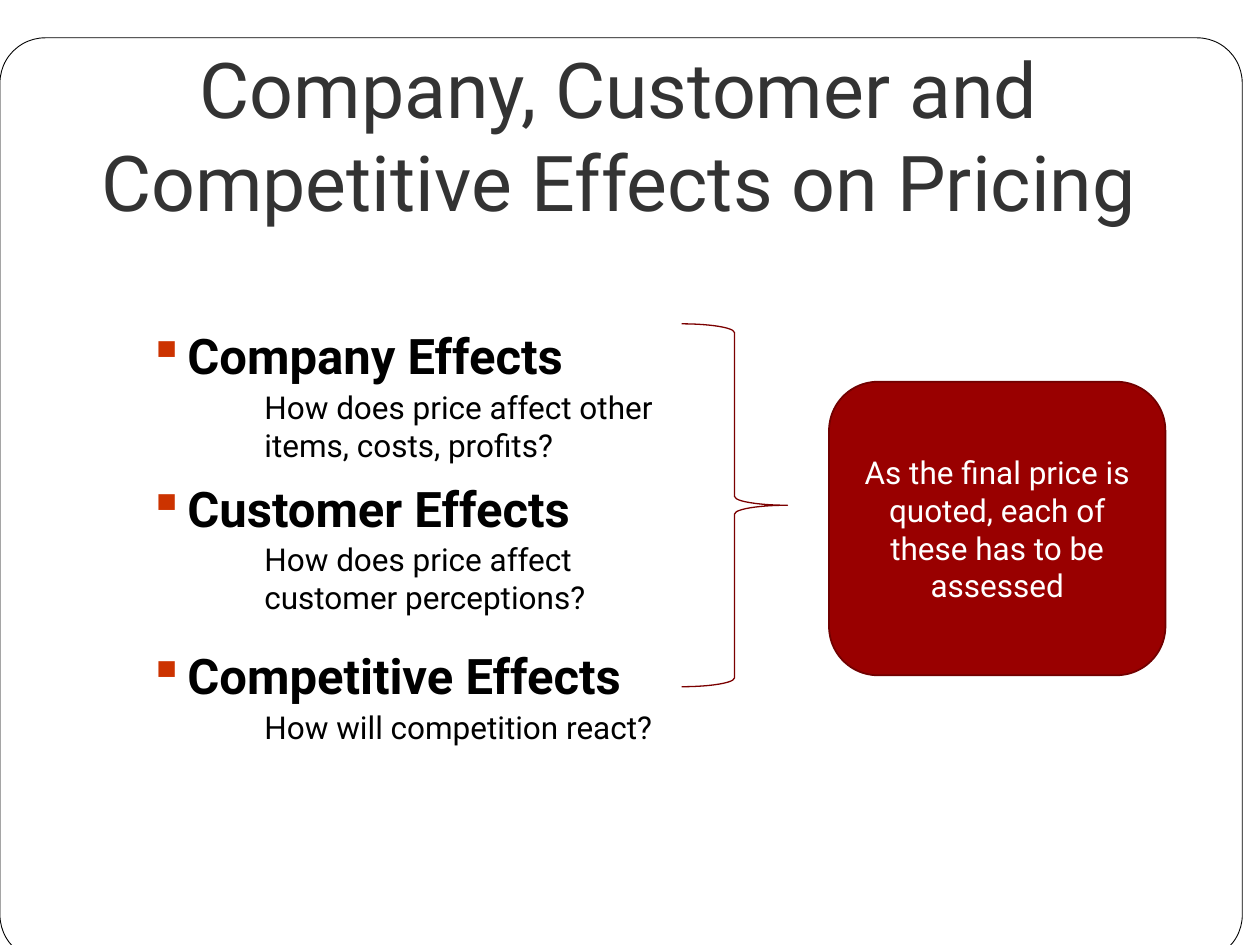
from lxml import etree
from pptx import Presentation
from pptx.dml.color import RGBColor
from pptx.enum.shapes import MSO_SHAPE as SHAPE
from pptx.enum.text import MSO_ANCHOR as ANCHOR, PP_ALIGN as ALIGN
from pptx.oxml.ns import qn
from pptx.util import Inches, Pt

BLACK = RGBColor(0x00, 0x00, 0x00)
WHITE = RGBColor(0xFF, 0xFF, 0xFF)
GRAY = RGBColor(0x33, 0x33, 0x33)
RED = RGBColor(0x99, 0x00, 0x00)
DARK_RED = RGBColor(0x71, 0x00, 0x00)
BRACE_RED = RGBColor(0x7B, 0x00, 0x00)
BULLET_ORANGE = "CC3300"

prs = Presentation()
prs.slide_width, prs.slide_height = Inches(10), Inches(7.5)
s = prs.slides.add_slide(prs.slide_layouts[6])


def add_shape(kind, box, fill, line, width):
    sp = s.shapes.add_shape(kind, *map(Inches, box))
    sp.shadow.inherit = False
    if fill is None:
        sp.fill.background()
    else:
        sp.fill.solid()
        sp.fill.fore_color.rgb = fill
    sp.line.color.rgb = line
    sp.line.width = Pt(width)
    return sp


def write(sp, text, size, color, align=ALIGN.LEFT, anchor=ANCHOR.MIDDLE, bold=False):
    """Fill the shape with one wrapped paragraph and return that paragraph."""
    tf = sp.text_frame
    tf.word_wrap = True
    tf.vertical_anchor = anchor
    p = tf.paragraphs[0]
    p.alignment = align
    r = p.add_run()
    r.text = text
    r.font.name, r.font.size, r.font.bold = "Roboto", Pt(size), bold
    r.font.color.rgb = color
    return p


frame = add_shape(SHAPE.ROUNDED_RECTANGLE, (0, 0.3, 9.86, 7.32), WHITE, BLACK, 0.5)
frame.adjustments[0] = 0.049

title = s.shapes.add_textbox(Inches(0), Inches(0.44), Inches(9.83), Inches(1.25))
write(title, "Company, Customer and Competitive Effects on Pricing", 44, GRAY, ALIGN.CENTER)

effects = [
    (2.57, "Company Effects", "How does price affect other items, costs, profits?", 0.71),
    (3.78, "Customer Effects", "How does price affect customer perceptions?", 0.71),
    (5.11, "Competitive Effects", "How will competition react?", 0.4),
]
for top, heading, question, height in effects:
    box = s.shapes.add_textbox(Inches(1.08), Inches(top), Inches(8.5), Inches(0.5))
    p = write(box, heading, 28, BLACK, bold=True)
    pPr = p._p.get_or_add_pPr()
    pPr.set("marL", str(Inches(0.31)))
    pPr.set("indent", str(-Inches(0.31)))
    color = etree.SubElement(pPr, qn("a:buClr"))
    etree.SubElement(color, qn("a:srgbClr"), val=BULLET_ORANGE)
    etree.SubElement(pPr, qn("a:buChar"), char="▪")

    box = s.shapes.add_textbox(Inches(2), Inches(top + 0.46), Inches(3.41), Inches(height))
    write(box, question, 18, BLACK, anchor=ANCHOR.TOP)

add_shape(SHAPE.RIGHT_BRACE, (5.41, 2.57, 0.84, 2.88), None, BRACE_RED, 0.75)

conclusion = add_shape(SHAPE.ROUNDED_RECTANGLE, (6.58, 3.03, 2.67, 2.33), RED, DARK_RED, 1)
write(conclusion, "As the final price is quoted, each of these has to be assessed",
      18, WHITE, ALIGN.CENTER)

prs.save("out.pptx")
